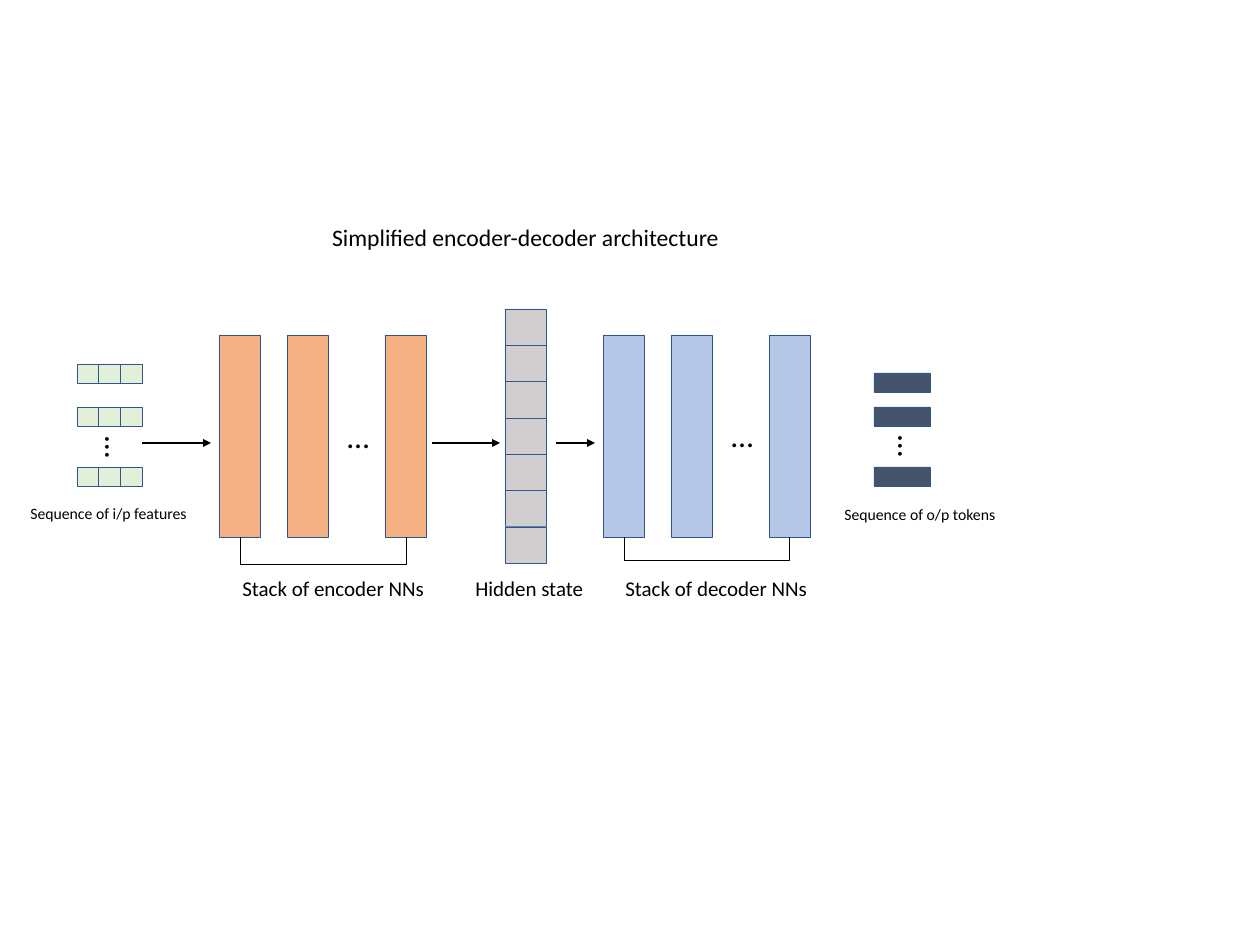
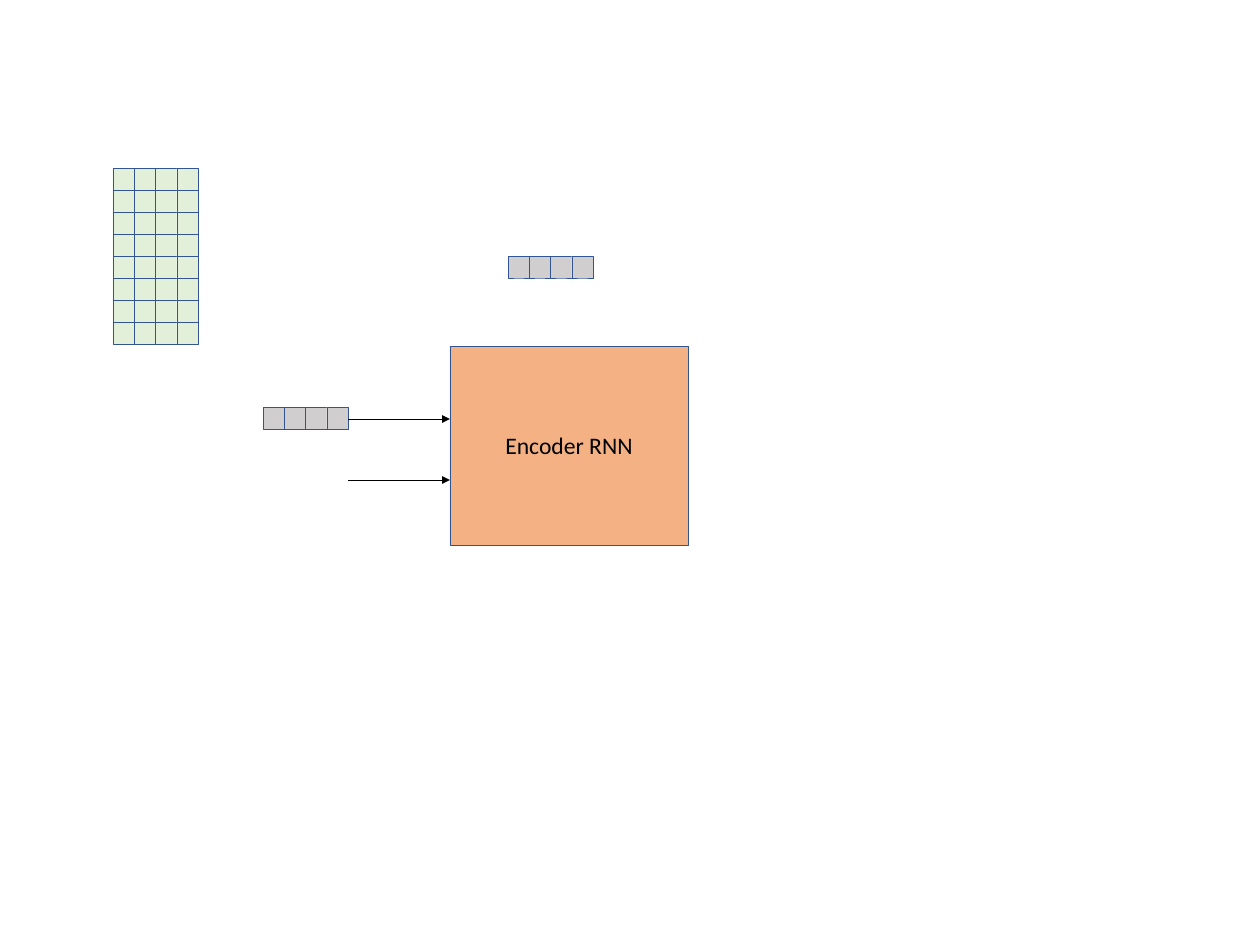
"""Build two slides on the encoder-decoder architecture."""
import dataclasses

import pptx
import pptx.dml.color
import pptx.enum.shapes
import pptx.enum.text
import pptx.oxml
import pptx.oxml.ns
import pptx.util

PX = 9666


@dataclasses.dataclass(frozen=True)
class Theme:
    font: str = "Calibri"
    ink: str = "000000"
    outline: str = "325491"
    encoder: str = "F4B183"
    decoder: str = "B4C7E7"
    feature: str = "E2F0D9"
    hidden: str = "D0CECE"
    token: str = "44546A"
    title_pt: int = 18
    label_pt: int = 16
    small_pt: int = 12
    dots_pt: int = 24
    outline_pt: float = 0.25
    bracket_pt: float = 0.75


theme = Theme()
rgb = pptx.dml.color.RGBColor.from_string
center = pptx.enum.text.PP_ALIGN.CENTER
middle = pptx.enum.text.MSO_ANCHOR.MIDDLE


def grid(s, x, y, w, h, fill, cols=1, rows=1):
    cw, ch = w / cols, h / rows
    for row in range(rows):
        for col in range(cols):
            place = (x + col * cw, y + row * ch, cw, ch)
            sp = s.shapes.add_shape(pptx.enum.shapes.MSO_SHAPE.RECTANGLE,
                                    *(round(v * PX) for v in place))
            sp.shadow.inherit = False
            sp.fill.solid()
            sp.fill.fore_color.rgb = rgb(fill)
            sp.line.color.rgb = rgb(theme.outline)
            sp.line.width = pptx.util.Pt(theme.outline_pt)
    return sp


def write(sp, text, size, align=None, anchor=None):
    tf = sp.text_frame
    tf.word_wrap = True
    tf.text = text
    tf.vertical_anchor = anchor
    p = tf.paragraphs[0]
    p.alignment = align
    r = p.runs[0]
    r.font.name = theme.font
    r.font.size = pptx.util.Pt(size)
    r.font.color.rgb = rgb(theme.ink)


prs = pptx.Presentation()
prs.slide_width, prs.slide_height = 1260 * PX, 945 * PX
overview = prs.slides.add_slide(prs.slide_layouts[5])
rnn = prs.slides.add_slide(prs.slide_layouts[6])

title = overview.shapes.title
title.left, title.top, title.width, title.height = (v * PX for v in (300, 218, 451, 38))
write(title, "Simplified encoder-decoder architecture", theme.title_pt, center, middle)
title.text_frame.auto_size = pptx.enum.text.MSO_AUTO_SIZE.NONE

for x, fill, drop in ((219, theme.encoder, 565), (603, theme.decoder, 561)):
    for dx in (0, 68, 166):
        grid(overview, x + dx, 335, 41, 202, fill)
    path_builder = overview.shapes.build_freeform(x + 21, 537, scale=float(PX))
    path_builder.add_line_segments(
        [(x + 21, drop), (x + 187, drop), (x + 187, 537)], close=False)
    bracket = path_builder.convert_to_shape()
    bracket.shadow.inherit = False
    bracket.fill.background()
    bracket.line.color.rgb = rgb(theme.ink)
    bracket.line.width = pptx.util.Pt(theme.bracket_pt)

for y in (364, 407, 467):
    grid(overview, 77, y, 65, 19, theme.feature, cols=3)
for y in (373, 407, 467):
    grid(overview, 874, y, 56, 19, theme.token)
grid(overview, 505, 309, 41, 254, theme.hidden, rows=7)

for text, x, y, w, h, size, turn in (
    ("…", 338, 412, 32, 47, theme.dots_pt, 0),
    ("…", 722, 411, 32, 47, theme.dots_pt, 0),
    ("…", 102, 420, 32, 47, theme.dots_pt, 90),
    ("…", 895, 419, 32, 47, theme.dots_pt, 90),
    ("Stack of encoder NNs", 233, 571, 243, 35, theme.label_pt, 0),
    ("Hidden state", 466, 571, 243, 35, theme.label_pt, 0),
    ("Stack of decoder NNs", 616, 571, 243, 35, theme.label_pt, 0),
    ("Sequence of i/p features", 21, 499, 243, 28, theme.small_pt, 0),
    ("Sequence of o/p tokens", 835, 500, 243, 28, theme.small_pt, 0),
):
    sp = overview.shapes.add_textbox(x * PX, y * PX, w * PX, h * PX)
    sp.rotation = turn
    write(sp, text, size)

encoder = grid(rnn, 450, 346, 238, 199, theme.encoder)
write(encoder, "Encoder RNN", theme.title_pt, center, middle)
grid(rnn, 113, 168, 85, 176, theme.feature, cols=4, rows=8)
for x, y in ((263, 407), (508, 256)):
    grid(rnn, x, y, 85, 22, theme.hidden, cols=4)

for s, x1, x2, y, weight in (
    (overview, 142, 211, 443, 1),
    (overview, 432, 500, 443, 1),
    (overview, 556, 595, 443, 1),
    (rnn, 348, 450, 419, 0.5),
    (rnn, 348, 450, 480, 0.5),
):
    arrow = s.shapes.add_connector(pptx.enum.shapes.MSO_CONNECTOR.STRAIGHT,
                                   x1 * PX, y * PX, x2 * PX, y * PX)
    arrow.line.color.rgb = rgb(theme.ink)
    arrow.line.width = pptx.util.Pt(weight)
    props = arrow._element.spPr
    ns = pptx.oxml.ns.nsdecls("a")
    props.find(pptx.oxml.ns.qn("a:ln")).append(
        pptx.oxml.parse_xml(f'<a:tailEnd {ns} type="triangle"/>'))
    props.append(pptx.oxml.parse_xml(f"<a:effectLst {ns}/>"))

prs.save("out.pptx")
